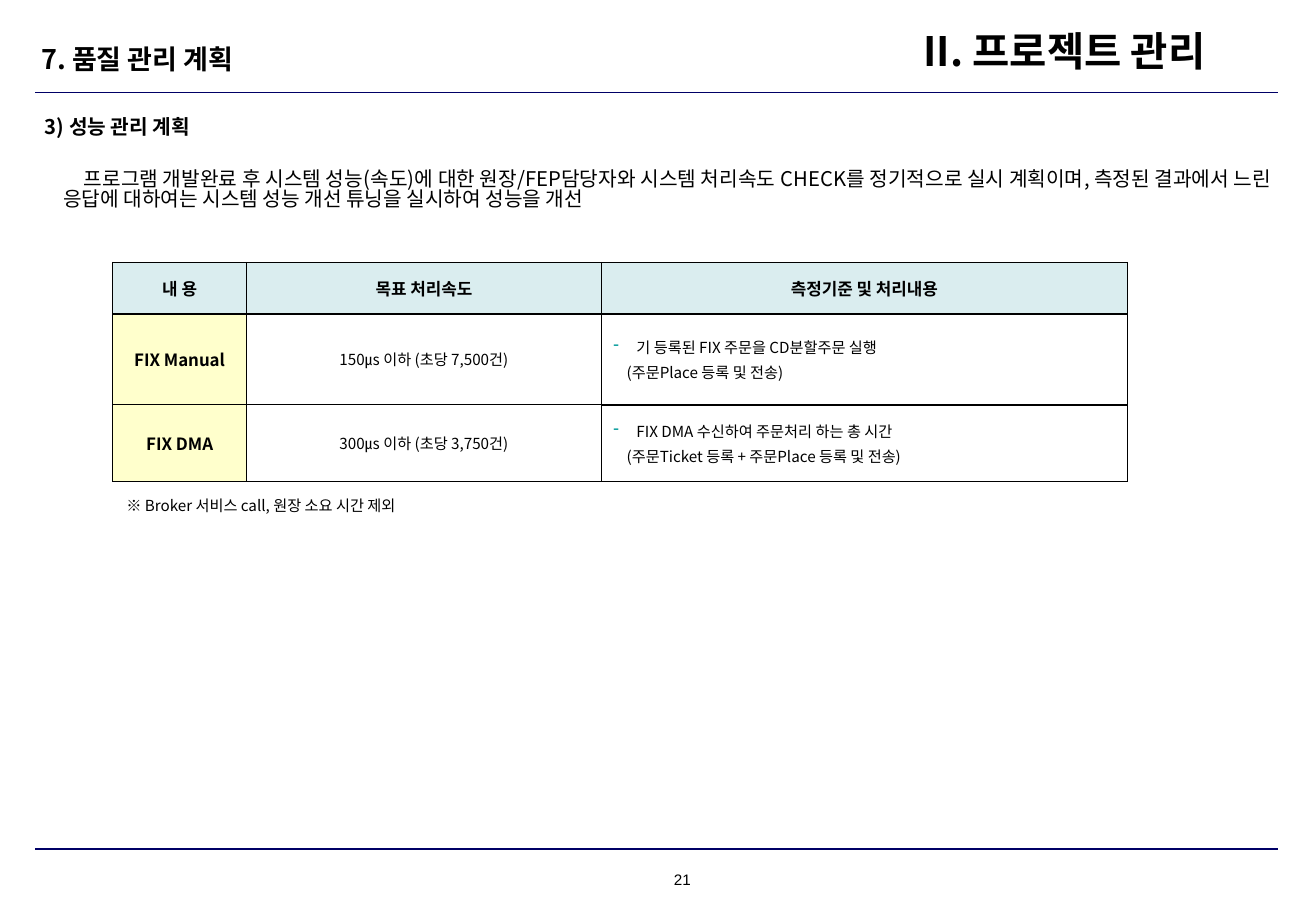
from lxml.etree import SubElement
from pptx import Presentation
from pptx.dml.color import RGBColor
from pptx.enum.shapes import MSO_CONNECTOR
from pptx.enum.text import MSO_ANCHOR, PP_ALIGN
from pptx.oxml.ns import qn
from pptx.util import Inches, Pt

COLORS = {"ink": "000000", "rule": "000066", "header": "DAEDEF",
          "label": "FFFFCC", "dash": "009999"}
FONT = "Noto Sans CJK KR"

# Places are percent of the slide: left, top, width, height
TEXTS = [
    ("II. 프로젝트 관리", (70.18, 1.6, 25.95, 7.73), {"size": 24, "bold": True}),
    ("7. 품질 관리 계획", (3.14, 3.81, 35.36, 5.33), {"size": 16, "bold": True}),
    ("3) 성능 관리 계획", (3.42, 11.83, 30, 4), {"size": 12, "bold": True}),
    ("프로그램 개발완료 후 시스템 성능(속도)에 대한 원장/FEP담당자와 시스템 처리속도 "
     "CHECK를 정기적으로 실시 계획이며, 측정된 결과에서 느린 응답에 대하여는 "
     "시스템 성능 개선 튜닝을 실시하여 성능을 개선",
     (4.8, 18.13, 91.78, 5.6),
     {"size": 12, "align": PP_ALIGN.JUSTIFY, "indent": 0.17, "line_spacing": 0.82}),
    ("※ Broker 서비스 call, 원장 소요 시간 제외", (9.6, 53.73, 30, 3.47), {"size": 9}),
    ("21", (48.57, 95.07, 6.56, 2.93),
     {"size": 9, "align": PP_ALIGN.CENTER, "font": "Arial"}),
]
RULE_SPAN = (2.7, 97.15)
RULE_TOPS = (10.13, 93.2)

HEADERS = ["내 용", "목표 처리속도", "측정기준 및 처리내용"]
TARGETS = [
    ("FIX Manual", "150㎲ 이하 (초당 7,500건)",
     ("기 등록된 FIX 주문을 CD분할주문 실행", "(주문Place 등록 및 전송)")),
    ("FIX DMA", "300㎲ 이하 (초당 3,750건)",
     ("FIX DMA 수신하여 주문처리 하는 총 시간", "(주문Ticket 등록 + 주문Place 등록 및 전송)")),
]
TABLE_CORNER = (8.57, 28.78)
COLUMN_WIDTHS = (10.16, 26.96, 39.98)
ROW_HEIGHTS = (5.67, 9.99, 8.4)

deck = Presentation()
deck.slide_width, deck.slide_height = Inches(10.83), Inches(7.5)
slide = deck.slides.add_slide(deck.slide_layouts[6])


def across(percent):
    return round(deck.slide_width * percent / 100)


def down(percent):
    return round(deck.slide_height * percent / 100)


def write(paragraph, text, size, bold=False, align=PP_ALIGN.LEFT, font=FONT,
          margin=0, indent=0, line_spacing=None, space_before=None):
    paragraph.alignment = align
    paragraph.line_spacing = line_spacing
    paragraph.space_before = space_before
    properties = paragraph._p.get_or_add_pPr()
    properties.set("marL", str(Inches(margin)))
    properties.set("indent", str(Inches(indent)))
    run = paragraph.add_run()
    run.text = text
    for name, value in {"size": Pt(size), "bold": bold, "name": font}.items():
        setattr(run.font, name, value)
    run.font.color.rgb = RGBColor.from_string(COLORS["ink"])
    SubElement(run._r.get_or_add_rPr(), qn("a:ea"), typeface=font)


def add_dash(paragraph):
    properties = paragraph._p.get_or_add_pPr()
    color = SubElement(properties, qn("a:buClr"))
    SubElement(color, qn("a:srgbClr"), val=COLORS["dash"])
    SubElement(properties, qn("a:buSzPct"), val="110000")
    SubElement(properties, qn("a:buChar"), char="-")


def horizontal_weight(edge, column):
    """Points of the table line above row number edge."""
    return 1 if edge == 1 or (edge, column) == (2, 2) else 0.5


def draw_borders(cell, row, column):
    weights = {"a:lnL": 0.5, "a:lnR": 0.5,
               "a:lnT": horizontal_weight(row, column),
               "a:lnB": horizontal_weight(row + 1, column)}
    for side, weight in weights.items():
        line = SubElement(cell._tc.get_or_add_tcPr(), qn(side), w=str(Pt(weight)))
        fill = SubElement(line, qn("a:solidFill"))
        SubElement(fill, qn("a:srgbClr"), val=COLORS["ink"])


def paint(cell, row, column):
    if row and column:
        cell.fill.background()
    else:
        cell.fill.solid()
        cell.fill.fore_color.rgb = RGBColor.from_string(
            COLORS["label" if row else "header"])


for top in RULE_TOPS:
    left, right = map(across, RULE_SPAN)
    rule = slide.shapes.add_connector(MSO_CONNECTOR.STRAIGHT, left, down(top),
                                      right, down(top))
    rule.line.width = Pt(0.75)
    rule.line.color.rgb = RGBColor.from_string(COLORS["rule"])
    SubElement(rule._element.spPr, qn("a:effectLst"))

for text, (left, top, width, height), style in TEXTS:
    frame = slide.shapes.add_textbox(across(left), down(top),
                                     across(width), down(height)).text_frame
    frame_format = {"word_wrap": True, "vertical_anchor": MSO_ANCHOR.MIDDLE,
                    "margin_left": 0, "margin_right": 0,
                    "margin_top": 0, "margin_bottom": 0}
    for name, value in frame_format.items():
        setattr(frame, name, value)
    write(frame.paragraphs[0], text, **style)

table = slide.shapes.add_table(
    len(ROW_HEIGHTS), len(COLUMN_WIDTHS), across(TABLE_CORNER[0]), down(TABLE_CORNER[1]),
    across(sum(COLUMN_WIDTHS)), down(sum(ROW_HEIGHTS))).table
table.first_row = table.horz_banding = False
for column, width in zip(table.columns, COLUMN_WIDTHS):
    column.width = across(width)
for row, height in zip(table.rows, ROW_HEIGHTS):
    row.height = down(height)

for row, contents in enumerate([HEADERS, *TARGETS]):
    for column, content in enumerate(contents):
        cell = table.cell(row, column)
        cell.vertical_anchor = MSO_ANCHOR.MIDDLE
        draw_borders(cell, row, column)
        paint(cell, row, column)
        first = cell.text_frame.paragraphs[0]
        if row and column == 2:
            measure, detail = content
            write(first, measure, 9, margin=0.19, indent=-0.19, space_before=Pt(1.8))
            add_dash(first)
            write(cell.text_frame.add_paragraph(), detail, 9, margin=0.11,
                  space_before=Pt(1.8))
        else:
            heading = row == 0 or column == 0
            write(first, content, 10 if heading else 9, bold=heading,
                  align=PP_ALIGN.CENTER, space_before=Pt(2))

deck.save("out.pptx")
